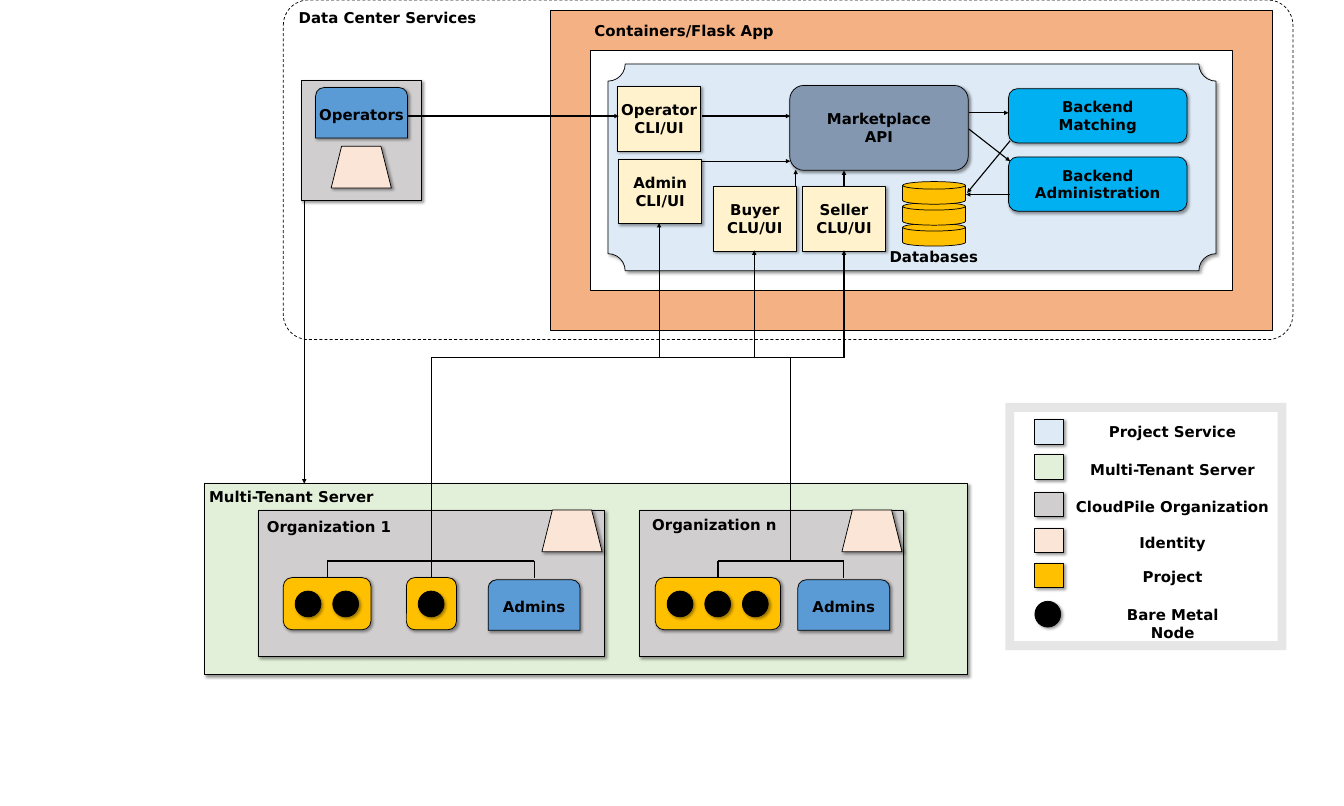
from lxml.etree import SubElement
from pptx import Presentation
from pptx.dml.color import RGBColor
from pptx.enum.dml import MSO_LINE
from pptx.enum.shapes import MSO_CONNECTOR, MSO_SHAPE as SHAPE
from pptx.enum.text import MSO_ANCHOR, PP_ALIGN as ALIGN
from pptx.oxml.ns import qn
from pptx.util import Inches, Pt

BLACK = "000000"
SERVICE, TENANT, ORGANIZATION = "DEEBF7", "E2F0D9", "D0CECE"
IDENTITY, PROJECT, USERS = "FBE5D6", "FFC000", "5B9BD5"
CLIENT, BACKEND = "FFF2CC", "00B0F0"
NODE_SIZE, NODE_PITCH, NODE_MARGIN = 0.48, 0.7, 0.23
BUS_TOP, BRANCH_TOP, PROJECT_TOP = 6.66, 10.44, 10.75


def color(hex_code):
    """Turn a hex string into a colour."""
    return RGBColor.from_string(hex_code)


def write(frame, text, align=ALIGN.CENTER):
    """Put bold black text into a text frame."""
    frame.text = text
    for para in frame.paragraphs:
        para.alignment = align
        for span in para.runs:
            span.font.name = "DejaVu Sans"
            span.font.size = Pt(20)
            span.font.bold = True
            span.font.color.rgb = color(BLACK)


def add_label(page, text, left, top, width=5.92, align=ALIGN.CENTER):
    """Add a free-standing caption."""
    box = page.shapes.add_textbox(Inches(left), Inches(top), Inches(width), Inches(0.44))
    box.text_frame.word_wrap = True
    write(box.text_frame, text, align)


def add_shadow(box):
    """Give a shape a soft shadow to the lower right."""
    effects = box._element.spPr.find(qn("a:effectLst"))
    shadow = SubElement(effects, qn("a:outerShdw"), blurRad=str(Pt(4)), dist=str(Pt(3)),
                        dir="2700000", algn="tl", rotWithShape="0")
    tint = SubElement(shadow, qn("a:srgbClr"), val=BLACK)
    SubElement(tint, qn("a:alpha"), val="40000")


def add_box(page, kind, left, top, width, height, fill=None, text="",
            shadow=True, outline=True, corner=None):
    """Add a preset shape, with its text if there is any."""
    box = page.shapes.add_shape(kind, Inches(left), Inches(top), Inches(width), Inches(height))
    box.shadow.inherit = False
    if corner is not None:
        box.adjustments[0] = corner
    if fill:
        box.fill.solid()
        box.fill.fore_color.rgb = color(fill)
    else:
        box.fill.background()
    if outline:
        box.line.color.rgb = color(BLACK)
        box.line.width = Pt(1)
    else:
        box.line.fill.background()
    if shadow:
        add_shadow(box)
    if text:
        frame = box.text_frame
        frame.word_wrap = False
        frame.vertical_anchor = MSO_ANCHOR.MIDDLE
        frame.margin_left = frame.margin_right = 0
        write(frame, text)
    return box


def add_line(page, start, end, arrow=False):
    """Connect two points, with an arrowhead at the end if wanted."""
    points = [Inches(value) for value in (*start, *end)]
    link = page.shapes.add_connector(MSO_CONNECTOR.STRAIGHT, *points)
    link.line.color.rgb = color(BLACK)
    link.line.width = Pt(1.5)
    properties = link._element.spPr
    if arrow:
        SubElement(properties.find(qn("a:ln")), qn("a:tailEnd"), type="triangle")
    SubElement(properties, qn("a:effectLst"))


def add_identity(page, left, top):
    """Add the trapezoid of an identity service."""
    add_box(page, SHAPE.TRAPEZOID, left, top, 1.12, 0.78, IDENTITY)


def add_users(page, text, left, top):
    """Add a group of users."""
    add_box(page, SHAPE.ROUND_2_SAME_RECTANGLE, left, top, 1.71, 0.94, USERS, text)


def add_project(page, left, nodes):
    """Add a project with its nodes and return its centre."""
    width = nodes * NODE_PITCH + NODE_MARGIN
    add_box(page, SHAPE.ROUNDED_RECTANGLE, left, PROJECT_TOP, width, 0.97, PROJECT)
    for index in range(nodes):
        node_left = left + NODE_MARGIN - 0.01 + index * NODE_PITCH
        add_box(page, SHAPE.OVAL, node_left, PROJECT_TOP + 0.25, NODE_SIZE, NODE_SIZE, BLACK)
    return left + width / 2


def add_organization(page, name, left, width, name_left, name_top, identity_left,
                     projects, admins_left, trunk):
    """Add an organization, its projects and admins, and the tree that joins them."""
    add_box(page, SHAPE.RECTANGLE, left, 9.49, width, 2.73, ORGANIZATION)
    add_identity(page, identity_left, 9.49)
    add_label(page, name, name_left, name_top)
    centers = [add_project(page, *project) for project in projects]
    add_users(page, "Admins", admins_left, PROJECT_TOP + 0.04)
    centers.append(admins_left + 1.71 / 2)
    add_line(page, (centers[0], BRANCH_TOP), (centers[-1], BRANCH_TOP))
    for center in centers:
        add_line(page, (center, BRANCH_TOP), (center, PROJECT_TOP))
    add_line(page, (trunk, BUS_TOP), (trunk, BRANCH_TOP))


def add_application(page):
    """Add the marketplace application with its clients and back ends."""
    add_box(page, SHAPE.PLAQUE, 11.31, 1.19, 11.31, 3.85, SERVICE, corner=0.083)
    add_box(page, SHAPE.FRAME, 10.24, 0.2, 13.43, 5.94, "F4B183", shadow=False)
    add_label(page, "Containers/Flask App", 10.96, 0.36, align=ALIGN.LEFT)
    add_box(page, SHAPE.ROUNDED_RECTANGLE, 14.69, 1.59, 3.32, 1.58, "8497B0", "Marketplace\nAPI")
    for level in range(3):
        add_box(page, SHAPE.FLOWCHART_MAGNETIC_DISK, 16.79, 4.16 - 0.39 * level, 1.17, 0.42,
                PROJECT, shadow=False)
    add_label(page, "Databases", 14.41, 4.55)
    for name, top in (("Matching", 1.65), ("Administration", 2.92)):
        add_box(page, SHAPE.ROUNDED_RECTANGLE, 18.76, top, 3.32, 1.01, BACKEND, f"Backend\n{name}")
    for text, left, top in (("Operator\nCLI/UI", 11.49, 1.61), ("Admin\nCLI/UI", 11.51, 2.96),
                            ("Buyer\nCLU/UI", 13.27, 3.47), ("Seller\nCLU/UI", 14.93, 3.47)):
        add_box(page, SHAPE.RECTANGLE, left, top, 1.54, 1.2, CLIENT, text)
    for start, end in (((18.02, 2.1), (18.76, 2.1)), ((18.02, 2.4), (18.79, 3)),
                       ((18.79, 2.62), (17.99, 3.59)), ((18.79, 3.62), (17.97, 3.62)),
                       ((13.06, 2.16), (14.7, 2.16)), ((13.06, 3), (14.7, 3)),
                       ((14.8, 3.46), (14.8, 3.16)), ((15.7, 3.47), (15.7, 3.17))):
        add_line(page, start, end, arrow=True)


def add_operators(page):
    """Add the operators and their links."""
    add_box(page, SHAPE.RECTANGLE, 5.6, 1.5, 2.24, 2.23, ORGANIZATION)
    add_identity(page, 6.16, 2.72)
    add_users(page, "Operators", 5.87, 1.63)
    add_line(page, (5.66, 3.72), (5.66, 9), arrow=True)
    add_line(page, (7.58, 2.16), (11.51, 2.16), arrow=True)


def add_tenants(page):
    """Add the multi-tenant area and the bus up to the clients."""
    add_box(page, SHAPE.RECTANGLE, 3.8, 9, 14.19, 3.55, TENANT)
    add_label(page, "Multi-Tenant Server", 2.44, 9.03, 5.96)
    add_organization(page, "Organization n", 11.89, 4.92, 10.33, 9.55, 15.66,
                     [(12.19, 3)], 14.84, 14.7)
    add_organization(page, "Organization 1", 4.8, 6.45, 3.16, 9.59, 10.08,
                     [(5.27, 2), (7.56, 1)], 9.08, 8.02)
    add_line(page, (8.02, BUS_TOP), (15.7, BUS_TOP))
    for left, top in ((12.26, 4.15), (14.03, 4.66), (15.7, 4.66)):
        add_line(page, (left, BUS_TOP), (left, top), arrow=True)


def add_legend(page):
    """Add the framed key to the colours."""
    for text, fill, top, text_top, width in (
            ("Project Service", SERVICE, 7.81, 7.82, 5.96),
            ("Multi-Tenant Server", TENANT, 8.46, 8.52, 5.96),
            ("CloudPile Organization", ORGANIZATION, 9.16, 9.22, 5.96),
            ("Identity", IDENTITY, 9.83, 9.88, 2.79),
            ("Project", PROJECT, 10.48, 10.51, 2.79)):
        add_box(page, SHAPE.RECTANGLE, 19.25, top, 0.53, 0.46, fill)
        add_label(page, text, 21.81 - width / 2, text_top, width)
    add_box(page, SHAPE.OVAL, 19.25, 11.19, NODE_SIZE, NODE_SIZE, BLACK)
    add_label(page, "Bare Metal Node", 20.42, 11.22, 2.79)
    add_box(page, SHAPE.FRAME, 18.7, 7.5, 5.23, 4.6, "E7E6E6",
            shadow=False, outline=False, corner=0.036)


def main():
    """Build the architecture slide and save it."""
    deck = Presentation()
    deck.slide_width, deck.slide_height = Inches(25), Inches(15)
    page = deck.slides.add_slide(deck.slide_layouts[6])
    add_application(page)
    add_operators(page)
    add_tenants(page)
    center = add_box(page, SHAPE.ROUNDED_RECTANGLE, 5.27, 0, 18.78, 6.32, shadow=False, corner=0.074)
    center.line.dash_style = MSO_LINE.DASH
    add_label(page, "Data Center Services", 4.25, 0.11)
    add_legend(page)
    deck.save("out.pptx")


main()
